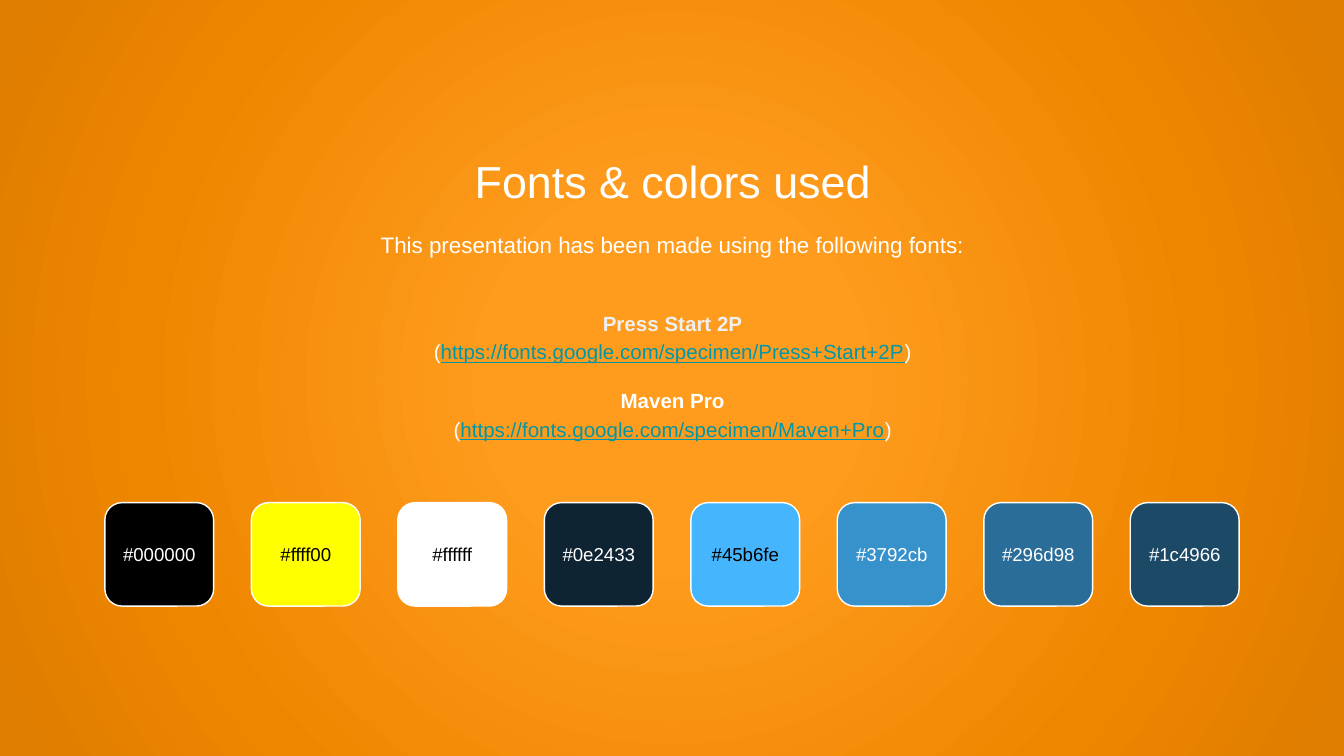
from lxml import etree
from pptx import Presentation
from pptx.dml.color import RGBColor
from pptx.enum.shapes import MSO_SHAPE
from pptx.enum.text import MSO_ANCHOR, MSO_AUTO_SIZE, PP_ALIGN
from pptx.oxml import parse_xml
from pptx.oxml.ns import nsdecls, qn
from pptx.util import Inches, Pt

CENTER = PP_ALIGN.CENTER
TOP, MIDDLE = MSO_ANCHOR.TOP, MSO_ANCHOR.MIDDLE
NO_AUTOFIT = MSO_AUTO_SIZE.NONE
ROUNDED = MSO_SHAPE.ROUNDED_RECTANGLE

COLORS = {"white": "FFFFFF", "black": "000000", "pale": "EFEFEF", "link": "0097A7"}
GRADIENT = {0: "FF9C1D", 23: "FF9C1D", 69: "EF8600", 97: "DF7D00"}
SWATCHES = {  # swatch color: label color
    "000000": "white", "ffff00": "black", "ffffff": "black", "0e2433": "white",
    "45b6fe": "black", "3792cb": "white", "296d98": "white", "1c4966": "white",
}


def fill_text(box, lines, size, anchor, line_spacing=1.0):
    """Write lines, each a (space before, spans) pair; a span is (text, color, font values)."""
    frame = box.text_frame
    settings = {"word_wrap": True, "auto_size": NO_AUTOFIT, "vertical_anchor": anchor}
    settings |= {f"margin_{side}": Inches(0.1) for side in ("left", "right", "top", "bottom")}
    for name, value in settings.items():
        setattr(frame, name, value)
    for index, (space, spans) in enumerate(lines):
        para = frame.paragraphs[0] if index == 0 else frame.add_paragraph()
        if box.is_placeholder:
            properties = para._p.get_or_add_pPr()
            properties.set("marL", "0")
            properties.set("indent", "0")
            etree.SubElement(properties, qn("a:buNone"))
        layout = {"alignment": CENTER, "line_spacing": line_spacing, "space_before": Pt(space)}
        for name, value in layout.items():
            setattr(para, name, value)
        for text, color, values in spans:
            span = para.add_run()
            span.text = text
            for name, value in {"name": "Arial", "size": Pt(size), **values}.items():
                setattr(span.font, name, value)
            span.font.color.rgb = RGBColor.from_string(COLORS[color])


deck = Presentation()
deck.slide_width = Inches(10)
deck.slide_height = deck.slide_width * 9 // 16
page = deck.slides.add_slide(deck.slide_layouts.get_by_name("Two Content"))

# Radial orange background
stops = "".join(
    f'<a:gs pos="{share * 1000}"><a:srgbClr val="{color}"/></a:gs>'
    for share, color in GRADIENT.items()
)
page.background.fill.solid()
background = page._element.cSld.find(qn("p:bg")).find(qn("p:bgPr"))
background.replace(background[0], parse_xml(
    f'<a:gradFill {nsdecls("a")}><a:gsLst>{stops}</a:gsLst><a:path path="circle">'
    '<a:fillToRect l="50000" t="50000" r="50000" b="50000"/></a:path></a:gradFill>'
))

# Title, introduction and font list
title, intro, fonts = page.placeholders
for box, top, height in ((title, 1.04, 0.53), (intro, 1.59, 0.48), (fonts, 2.1, 1.37)):
    box.left, box.top = Inches(1.15), Inches(top)
    box.width, box.height = Inches(7.71), Inches(height)

fill_text(title, [(0, [("Fonts & colors used", "white", {})])], 24, TOP)
introduction = "This presentation has been made using the following fonts:"
fill_text(intro, [(0, [(introduction, "white", {})])], 12, TOP, 1.15)

font_lines = []
for name, color, address, space in (
    ("Press Start 2P", "pale", "https://fonts.google.com/specimen/Press+Start+2P", 0),
    ("Maven Pro", "white", "https://fonts.google.com/specimen/Maven+Pro", 11),
):
    font_lines.append((space, [(name, color, {"bold": True})]))
    font_lines.append((0, [
        ("(", "white", {}), (address, "link", {"underline": True}), (")", "white", {}),
    ]))
fill_text(fonts, font_lines, 11, MIDDLE, 1.15)

# Row of color swatches with their codes
first_left, pitch, width = 0.78, 1.09, 0.81
for column, (code, label_color) in enumerate(SWATCHES.items()):
    left = Inches(first_left + column * pitch)
    swatch = page.shapes.add_shape(ROUNDED, left, Inches(3.74), Inches(width), Inches(0.77))
    swatch.shadow.inherit = False
    swatch.fill.solid()
    swatch.fill.fore_color.rgb = RGBColor.from_string(code.upper())
    swatch.line.color.rgb = RGBColor.from_string(COLORS["white"])
    swatch.line.width = Pt(0.75)
    label = page.shapes.add_textbox(left, Inches(3.9), Inches(width), Inches(0.45))
    fill_text(label, [(0, [(f"#{code}", label_color, {})])], 10, MIDDLE)

deck.save("out.pptx")
